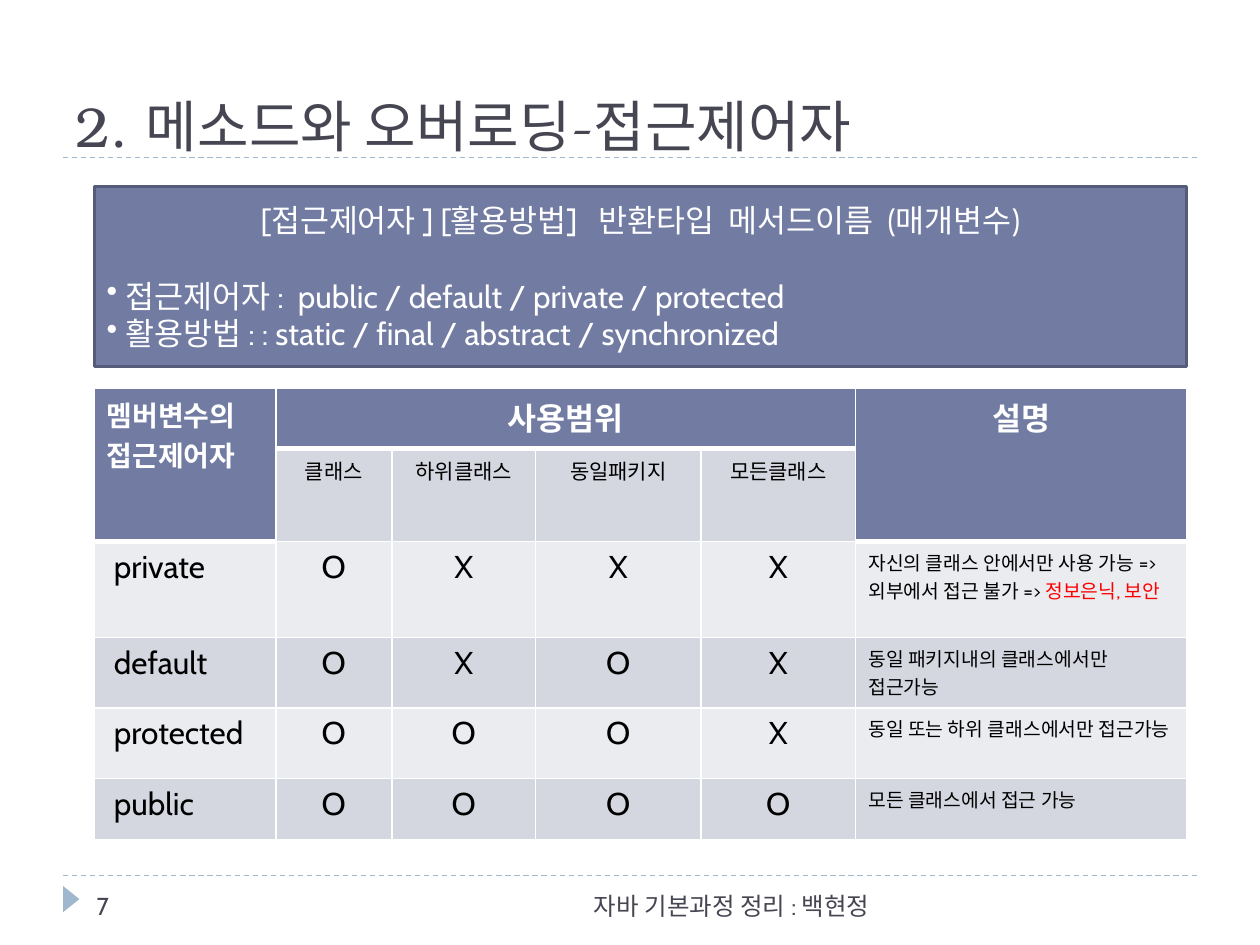
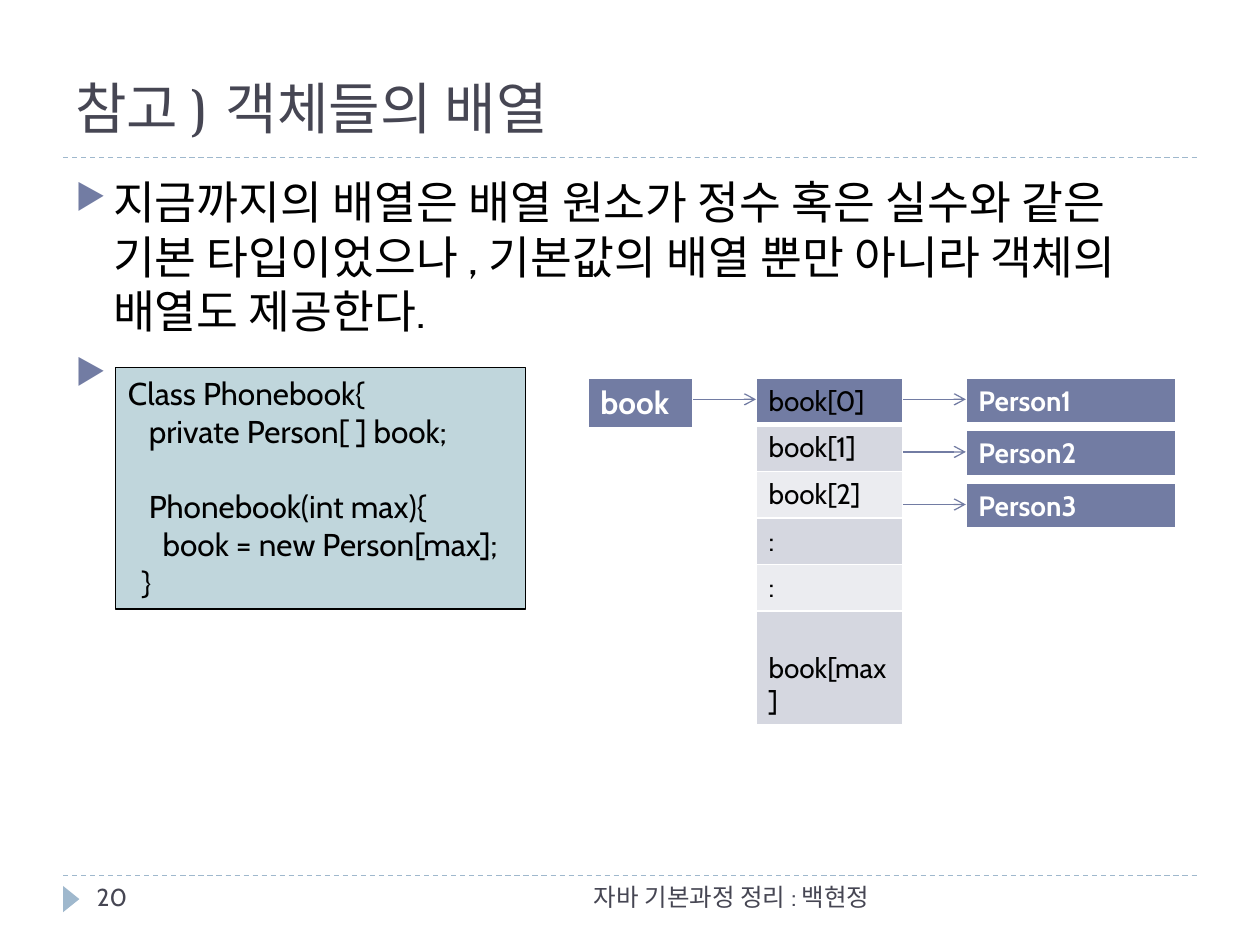
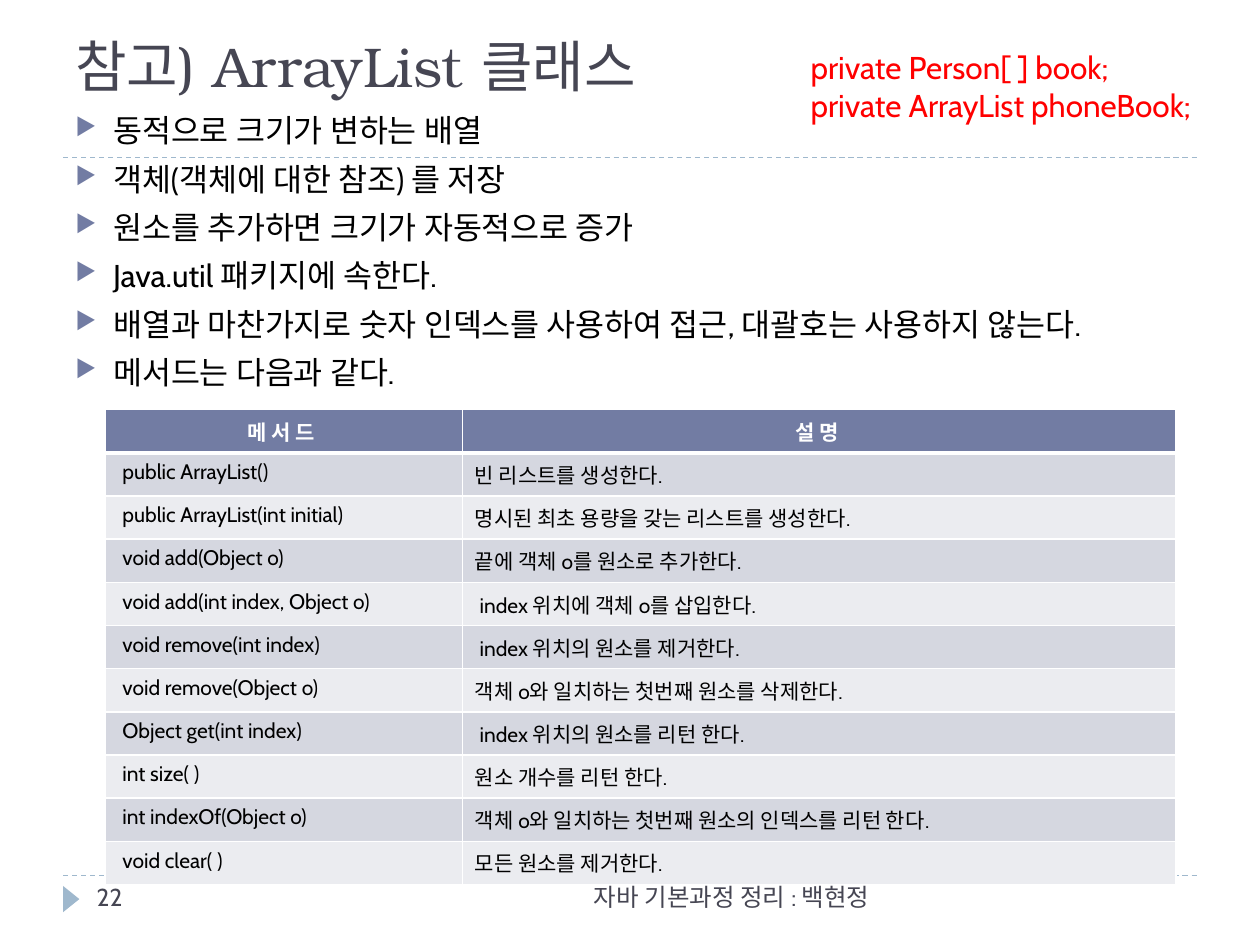
from lxml.etree import SubElement
from pptx import Presentation
from pptx.dml.color import RGBColor
from pptx.enum.dml import MSO_LINE
from pptx.enum.shapes import MSO_CONNECTOR, MSO_SHAPE
from pptx.enum.text import MSO_ANCHOR, PP_ALIGN
from pptx.oxml.ns import qn
from pptx.util import Cm, Pt

WHITE = RGBColor(0xFF, 0xFF, 0xFF)
BLACK = RGBColor(0, 0, 0)
RED = RGBColor(0xFF, 0, 0)
INK = RGBColor(0x46, 0x46, 0x53)
INDIGO = RGBColor(0x72, 0x7C, 0xA3)
INDIGO_DARK = RGBColor(0x54, 0x5C, 0x79)
SKY = RGBColor(0x9F, 0xB8, 0xCD)
CODE_FILL = RGBColor(0xC0, 0xD6, 0xDC)
BANDS = (RGBColor(0xEB, 0xEC, 0xF0), RGBColor(0xD5, 0xD7, 0xE0))
BODY_FONT = "Cabin"
TITLE_FONT = "TeX Gyre Bonum"
FOOTER = "자바 기본과정 정리 : 백현정"
CENTER = PP_ALIGN.CENTER

SYNTAX = "[접근제어자 ] [활용방법]   반환타입  메서드이름  (매개변수)"
MODIFIERS = (
    "접근제어자 :  public / default / private / protected",
    "활용방법 : : static / final / abstract / synchronized",
)
SCOPES = ("클래스", "하위클래스", "동일패키지", "모든클래스")
ACCESS = (
    (" private", "OXXX", "자신의 클래스 안에서만 사용 가능 => 외부에서 접근 불가 => "),
    (" default", "OXOX", "동일 패키지내의 클래스에서만 접근가능"),
    (" protected", "OOOX", "동일 또는 하위 클래스에서만 접근가능"),
    (" public", "OOOO", "모든 클래스에서 접근 가능"),
)
ARRAY_INTRO = ("지금까지의 배열은 배열 원소가 정수 혹은 실수와 같은 기본 타입이었으나 , "
               "기본값의 배열 뿐만 아니라 객체의 배열도 제공한다.")
CODE = (
    ("Class Phonebook{", 0, 0),
    ("private Person[ ] book;", 0.42, 0),
    ("Phonebook(int max){", 0.42, 21.6),
    ("book = new Person[max];", 0.7, 0),
    ("}", 0.28, 0),
)
SLOTS = ("book[0]", "book[1]", "book[2]", ":", ":", " book[max]")
LIST_POINTS = (
    "동적으로 크기가 변하는 배열",
    "객체(객체에 대한 참조) 를 저장",
    "원소를 추가하면 크기가 자동적으로 증가",
    "Java.util 패키지에 속한다.",
    "배열과 마찬가지로 숫자 인덱스를 사용하여 접근, 대괄호는 사용하지 않는다.",
    "메서드는 다음과 같다.",
)
METHODS = (
    ("메 서 드 ", "설 명 "),
    (" public ArrayList()", "빈 리스트를 생성한다."),
    (" public ArrayList(int initial)", "명시된 최초 용량을 갖는 리스트를 생성한다."),
    (" void add(Object o)", "끝에 객체 o를 원소로 추가한다."),
    (" void add(int index, Object o)", " index 위치에 객체 o를 삽입한다."),
    (" void remove(int index)", " index 위치의 원소를 제거한다."),
    (" void remove(Object o)", "객체 o와 일치하는 첫번째 원소를 삭제한다."),
    (" Object get(int index)", " index 위치의 원소를 리턴 한다."),
    (" int size( )", "원소 개수를 리턴 한다."),
    (" int indexOf(Object o)", "객체 o와 일치하는 첫번째 원소의 인덱스를 리턴 한다."),
    (" void clear( )", "모든 원소를 제거한다."),
)


def add_run(p, text, size=18, color=BLACK, bold=False, font=BODY_FONT):
    r = p.add_run()
    r.text = text
    r.font.size = Pt(size)
    r.font.color.rgb = color
    r.font.bold = bold
    r.font.name = font


def write(tf, text, align=PP_ALIGN.LEFT, before=0, indent=0, bullet=None,
          bullet_color=None, bullet_size=100, **font):
    p = tf.paragraphs[0]
    if p.runs:
        p = tf.add_paragraph()
    p.alignment = align
    p.space_before = Pt(before)
    pPr = p._p.get_or_add_pPr()
    if indent:
        pPr.set("marL", str(Cm(indent)))
    if bullet:
        pPr.set("indent", str(-Cm(indent)))
        if bullet_color:
            clr = SubElement(pPr, qn("a:buClr"))
            SubElement(clr, qn("a:srgbClr"), val=str(bullet_color))
        SubElement(pPr, qn("a:buSzPct"), val=str(bullet_size * 1000))
        SubElement(pPr, qn("a:buChar"), char=bullet)
    add_run(p, text, **font)
    return p


def add_box(s, x, y, w, h, anchor=MSO_ANCHOR.TOP, wrap=True):
    tf = s.shapes.add_textbox(Cm(x), Cm(y), Cm(w), Cm(h)).text_frame
    tf.word_wrap = wrap
    tf.vertical_anchor = anchor
    return tf


def add_shape(s, kind, x, y, w, h, fill, line=None, width=0.75, anchor=MSO_ANCHOR.TOP):
    sp = s.shapes.add_shape(kind, Cm(x), Cm(y), Cm(w), Cm(h))
    sp.shadow.inherit = False
    sp.fill.solid()
    sp.fill.fore_color.rgb = fill
    if line is None:
        sp.line.fill.background()
    else:
        sp.line.color.rgb = line
        sp.line.width = Pt(width)
    sp.text_frame.word_wrap = True
    sp.text_frame.vertical_anchor = anchor
    return sp


def add_line(s, x1, x2, y, color, dash=None, arrow=False):
    c = s.shapes.add_connector(MSO_CONNECTOR.STRAIGHT, Cm(x1), Cm(y), Cm(x2), Cm(y))
    c.line.color.rgb = color
    c.line.width = Pt(0.75)
    if dash:
        c.line.dash_style = dash
    if arrow:
        SubElement(c.line._get_or_add_ln(), qn("a:tailEnd"), type="arrow")
    SubElement(c._element.spPr, qn("a:effectLst"))


def style_cell(cell, fill):
    tcPr = cell._tc.get_or_add_tcPr()
    for side in "LRTB":
        width = 3 if side == "B" and fill == INDIGO else 1
        ln = SubElement(tcPr, qn("a:ln" + side), w=str(Pt(width)))
        clr = SubElement(SubElement(ln, qn("a:solidFill")), qn("a:srgbClr"))
        clr.set("val", str(WHITE))
    cell.fill.solid()
    cell.fill.fore_color.rgb = fill


def add_table(s, x, y, cols, rows):
    frame = s.shapes.add_table(len(rows), len(cols), Cm(x), Cm(y), Cm(sum(cols)), Cm(sum(rows)))
    table = frame.table
    table.first_row = table.horz_banding = False
    for col, w in zip(table.columns, cols):
        col.width = Cm(w)
    for i, h in enumerate(rows):
        table.rows[i].height = Cm(h)
        for cell in table.rows[i].cells:
            style_cell(cell, BANDS[i % 2] if i else INDIGO)
    return table


def add_label(s, text, x, y, w, h, size):
    table = add_table(s, x, y, [w], [h])
    write(table.cell(0, 0).text_frame, text, size=size, color=WHITE, bold=True)


def add_points(s, y, points, size):
    tf = add_box(s, 1.27, y, 22.86, 13.76)
    for point in points:
        write(tf, point, size=size, before=6, indent=0.76, bullet="▶",
              bullet_color=INDIGO, bullet_size=76)


def add_slide(prs, number, title, title_y, title_w=22.22, title_h=1.9, footer_y=17.65):
    s = prs.slides.add_slide(prs.slide_layouts[6])
    for y in (17.65, 3.18):
        add_line(s, 1.27, 24.13, y, SKY, dash=MSO_LINE.DASH)
    add_shape(s, MSO_SHAPE.ISOSCELES_TRIANGLE, 1.17, 17.96, 0.53, 0.33, SKY).rotation = 90
    tf = add_box(s, 1.27, title_y, title_w, title_h, MSO_ANCHOR.BOTTOM)
    write(tf, title, size=32, color=INK, font=TITLE_FONT)
    write(add_box(s, 1.7, footer_y, 5.51, 1.02), number, size=14, color=INK)
    write(add_box(s, 8.05, footer_y, 9.73, 1.02), FOOTER, size=14, color=INK,
          align=PP_ALIGN.RIGHT)
    return s


def build_access(prs):
    s = add_slide(prs, "7", "2. 메소드와 오버로딩-접근제어자", 0.58, 22.86, 2.74, 17.83)
    tf = add_shape(s, MSO_SHAPE.RECTANGLE, 1.9, 3.76, 22.02, 3.63, INDIGO,
                   INDIGO_DARK, 1.5, MSO_ANCHOR.MIDDLE).text_frame
    write(tf, SYNTAX, color=WHITE, align=CENTER)
    for text, before in zip(MODIFIERS, (21.6, 0)):
        write(tf, text, color=WHITE, before=before, indent=0.38, bullet="•")

    table = add_table(s, 1.9, 7.82, [3.66, 2.34, 2.9, 3.33, 3.12, 6.67],
                      [1.22, 1.88, 1.93, 1.42, 1.42, 1.24])
    for col in (0, 5):
        style_cell(table.cell(1, col), INDIGO)
        table.cell(0, col).merge(table.cell(1, col))
    table.cell(0, 1).merge(table.cell(0, 4))
    heads = ((0, "멤버변수의 접근제어자", 16, PP_ALIGN.LEFT),
             (1, "사용범위", 18, CENTER), (5, "설명", 18, CENTER))
    for col, text, size, align in heads:
        write(table.cell(0, col).text_frame, text, size=size, color=WHITE, bold=True, align=align)
    for col, scope in enumerate(SCOPES, 1):
        write(table.cell(1, col).text_frame, scope, size=12, align=CENTER)
    for row, (name, marks, note) in enumerate(ACCESS, 2):
        write(table.cell(row, 0).text_frame, name)
        for col, mark in enumerate(marks, 1):
            write(table.cell(row, col).text_frame, mark, align=CENTER)
        p = write(table.cell(row, 5).text_frame, note, size=11)
        if row == 2:
            add_run(p, "정보은닉, 보안", size=11, color=RED)


def build_object_array(prs):
    s = add_slide(prs, "20", "참고 ) 객체들의 배열", 1.07)
    add_points(s, 3.39, (ARRAY_INTRO, " "), 26)
    tf = add_shape(s, MSO_SHAPE.RECTANGLE, 2.33, 7.41, 8.26, 4.87, CODE_FILL, BLACK).text_frame
    for text, indent, before in CODE:
        write(tf, text, indent=indent, before=before)

    top, pitch = 7.62, 1.06
    slots = add_table(s, 15.24, top, [2.96], [0.94] * 5 + [2.29])
    for i, text in enumerate(SLOTS):
        write(slots.cell(i, 0).text_frame, text, size=16)
    add_label(s, "book", 11.85, top, 2.12, 1.04, 18)
    add_line(s, 13.97, 15.24, top + 0.43, INDIGO, arrow=True)
    for i in range(3):
        y = top + i * pitch
        add_label(s, f"Person{i + 1}", 19.47, y, 4.23, 0.94, 16)
        add_line(s, 18.2, 19.47, y + 0.43, INDIGO, arrow=True)


def build_array_list(prs):
    s = add_slide(prs, "22", "참고) ArrayList 클래스", 0.21)
    add_points(s, 2.12, LIST_POINTS, 18)
    table = add_table(s, 2.12, 8.26, [7.2, 14.39], [0.87] * len(METHODS))
    for i, row in enumerate(METHODS):
        head = i == 0
        for j, text in enumerate(row):
            write(table.cell(i, j).text_frame, text, size=12, bold=head,
                  color=WHITE if head else BLACK, align=CENTER if head else PP_ALIGN.LEFT)
    tf = add_box(s, 16.09, 0.85, 8.23, 1.8, wrap=False)
    for text in ("private Person[ ] book;", "private ArrayList phoneBook;"):
        write(tf, text, color=RED)


def main():
    prs = Presentation()
    prs.slide_width, prs.slide_height = Cm(25.4), Cm(19.05)
    build_access(prs)
    build_object_array(prs)
    build_array_list(prs)
    prs.save("out.pptx")


if __name__ == "__main__":
    main()
